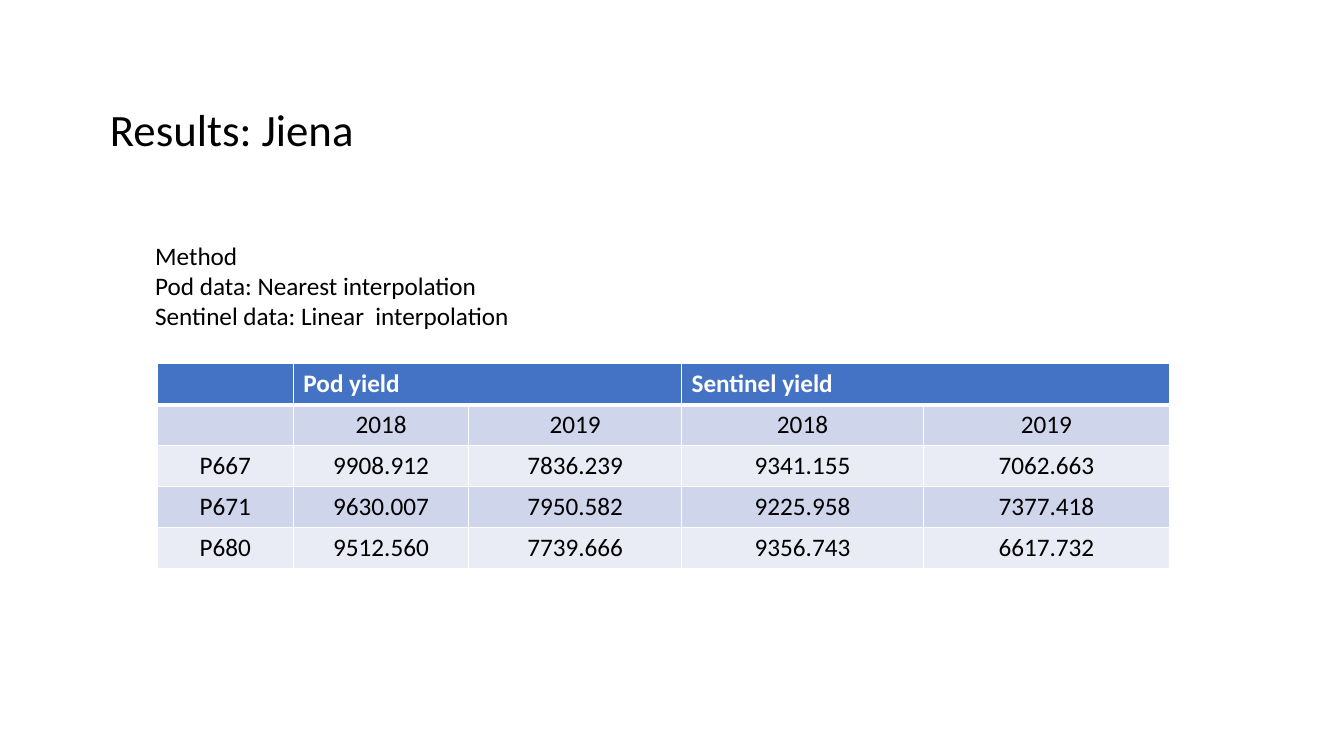
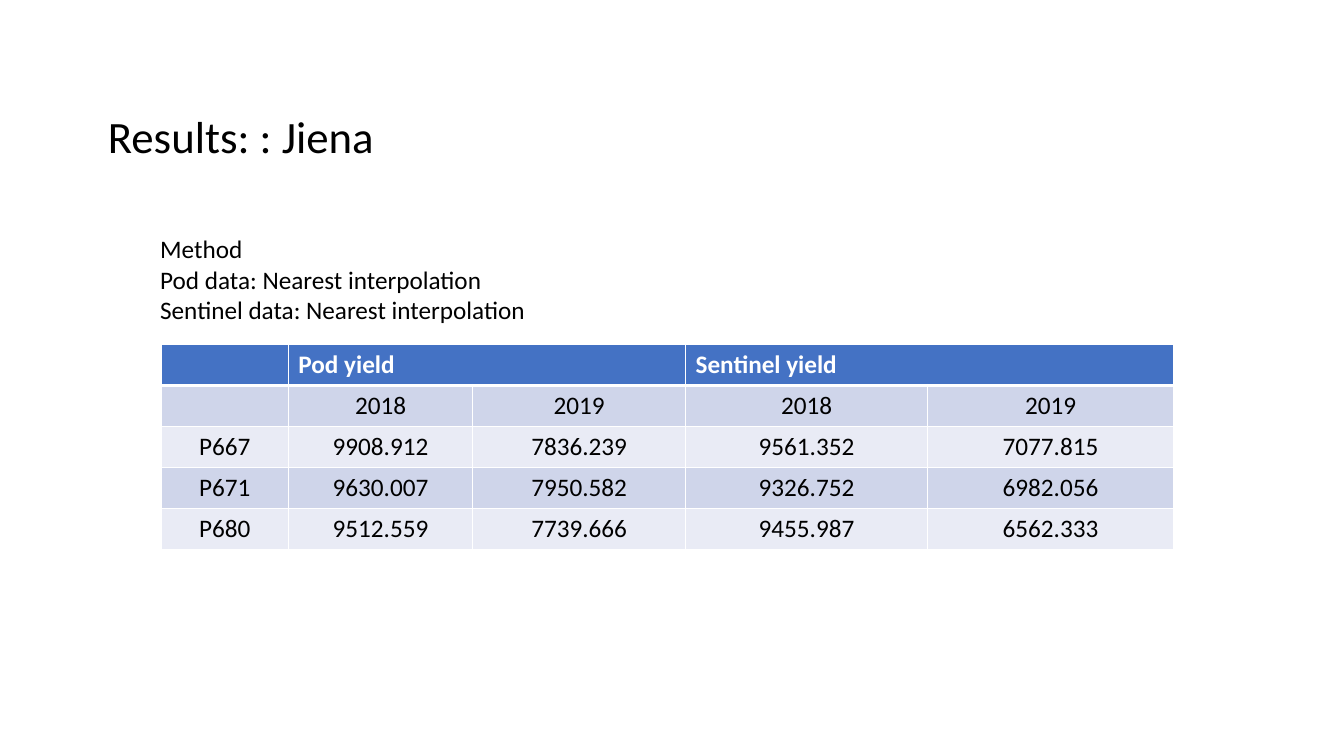
from dataclasses import dataclass

import lxml.etree
import pptx
import pptx.dml.color
import pptx.enum.text
import pptx.oxml.ns
import pptx.util

Inches = pptx.util.Inches
Pt = pptx.util.Pt
PP_ALIGN = pptx.enum.text.PP_ALIGN


@dataclass(frozen=True)
class Theme:
    font: str = "Calibri"
    title_size: int = 32
    body_size: int = 18
    text: str = "000000"
    white: str = "FFFFFF"
    header: str = "4472C4"
    bands: tuple = ("CFD5EA", "E9EBF5")
    rule: int = 1
    header_rule: int = 3


THEME = Theme()
HEADERS = ["", "Pod yield", "", "Sentinel yield", ""]
YEARS = ["", "2018", "2019", "2018", "2019"]


def rgb(color):
    return pptx.dml.color.RGBColor.from_string(color)


def format_paragraph(p, size, color=THEME.text, bold=False, align=PP_ALIGN.LEFT):
    p.alignment = align
    p.font.name = THEME.font
    p.font.size = Pt(size)
    p.font.bold = bold
    p.font.color.rgb = rgb(color)


def add_title(s, text, left, top):
    sp = s.shapes.title
    sp.left, sp.top = Inches(left), Inches(top)
    sp.width, sp.height = Inches(3), Inches(0.64)
    tf = sp.text_frame
    tf.text = text
    tf.auto_size = pptx.enum.text.MSO_AUTO_SIZE.NONE
    tf.vertical_anchor = pptx.enum.text.MSO_ANCHOR.TOP
    format_paragraph(tf.paragraphs[0], THEME.title_size)


def add_method(s, lines, left, top, width):
    sp = s.shapes.add_textbox(Inches(left), Inches(top), Inches(width), Inches(1.01))
    tf = sp.text_frame
    tf.word_wrap = True
    tf.text = "\n".join(lines)
    for p in tf.paragraphs:
        format_paragraph(p, THEME.body_size)


def set_borders(cell, top, bottom):
    qn = pptx.oxml.ns.qn
    tc_pr = cell._tc.get_or_add_tcPr()
    widths = {"lnL": THEME.rule, "lnR": THEME.rule, "lnT": top, "lnB": bottom}
    for side, width in widths.items():
        ln = lxml.etree.SubElement(tc_pr, qn(f"a:{side}"), w=str(Pt(width)))
        fill = lxml.etree.SubElement(ln, qn("a:solidFill"))
        lxml.etree.SubElement(fill, qn("a:srgbClr"), val=THEME.white)


def format_cell(cell, row, text):
    is_header = row == 0
    # The rule under the header is shared by the first two rows
    set_borders(cell,
                top=THEME.header_rule if row == 1 else THEME.rule,
                bottom=THEME.header_rule if is_header else THEME.rule)
    cell.fill.solid()
    cell.fill.fore_color.rgb = rgb(THEME.header if is_header else THEME.bands[(row - 1) % 2])
    cell.text = text
    format_paragraph(cell.text_frame.paragraphs[0], THEME.body_size,
                     color=THEME.white if is_header else THEME.text,
                     bold=is_header,
                     align=PP_ALIGN.LEFT if is_header else PP_ALIGN.CENTER)


def add_yield_table(s, rows, left, top, col_widths):
    data = [HEADERS, YEARS, *rows]
    table = s.shapes.add_table(len(data), len(HEADERS), Inches(left), Inches(top),
                               Inches(sum(col_widths)), Inches(2.02)).table
    for column, width in zip(table.columns, col_widths):
        column.width = Inches(width)
    for i, values in enumerate(data):
        for j, text in enumerate(values):
            format_cell(table.cell(i, j), i, text)
    # Each yield heading spans its two years
    for j in (1, 3):
        table.cell(0, j).merge(table.cell(0, j + 1))


def main():
    prs = pptx.Presentation()
    prs.slide_width, prs.slide_height = Inches(13.33), Inches(7.5)
    title_only = prs.slide_layouts[5]

    # Linear interpolation of the Sentinel data
    s = prs.slides.add_slide(title_only)
    add_yield_table(s, [
        ["P667", "9908.912", "7836.239", "9341.155", "7062.663"],
        ["P671", "9630.007", "7950.582", "9225.958", "7377.418"],
        ["P680", "9512.560", "7739.666", "9356.743", "6617.732"],
    ], 1.56, 3.61, [1.35, 1.74, 2.11, 2.4, 2.44])
    add_method(s, ["Method", "Pod data: Nearest interpolation",
                   "Sentinel data: Linear  interpolation"], 1.44, 2.33, 5.45)
    add_title(s, "Results: Jiena", 0.99, 0.96)

    # Nearest interpolation of the Sentinel data
    s = prs.slides.add_slide(title_only)
    add_yield_table(s, [
        ["P667", "9908.912", "7836.239", "9561.352", "7077.815"],
        ["P671", "9630.007", "7950.582", "9326.752", "6982.056"],
        ["P680", "9512.559", "7739.666", "9455.987", "6562.333"],
    ], 1.6, 3.42, [1.26, 1.83, 2.11, 2.4, 2.44])
    add_method(s, ["Method", "Pod data: Nearest interpolation",
                   "Sentinel data: Nearest interpolation"], 1.49, 2.27, 5.59)
    add_title(s, "Results: : Jiena", 0.97, 1.03)

    prs.save("out.pptx")


if __name__ == "__main__":
    main()
